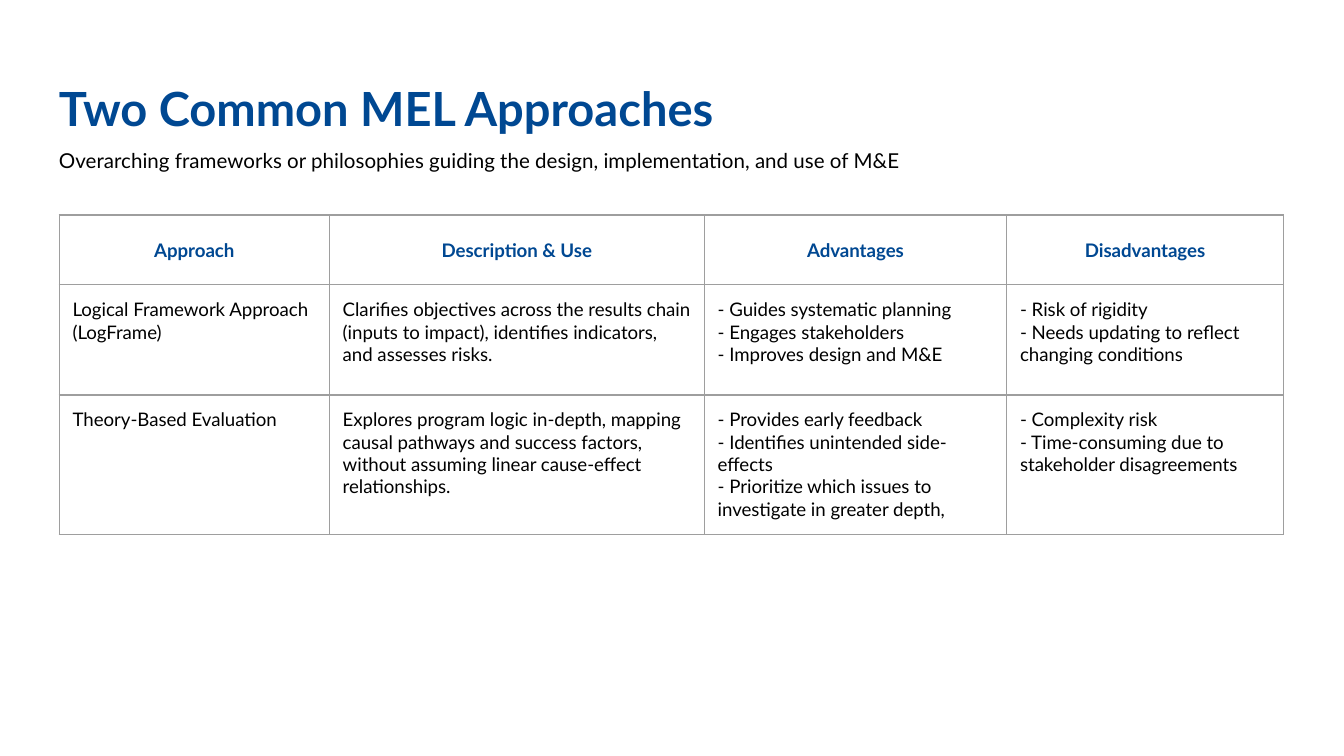
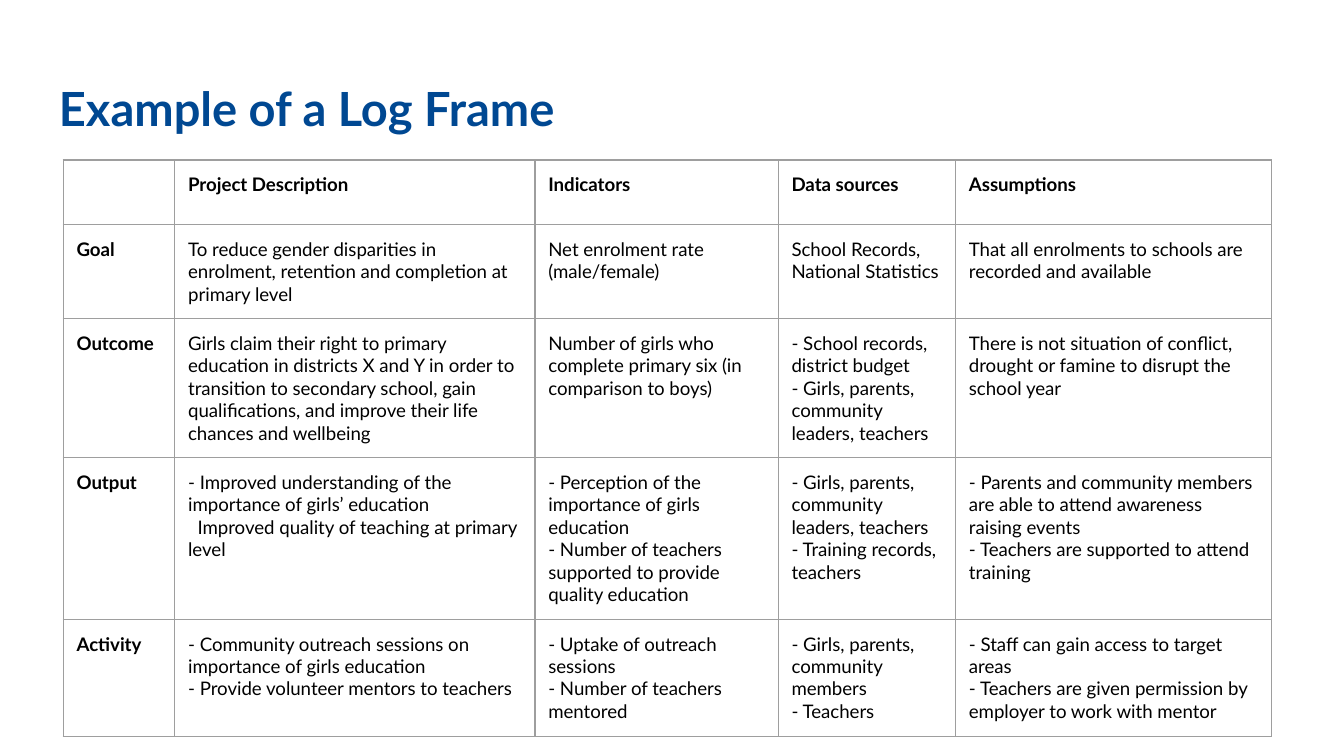
from lxml.etree import SubElement
from pptx import Presentation
from pptx.dml.color import RGBColor
from pptx.enum.text import MSO_ANCHOR as ANCHOR, PP_ALIGN as ALIGN
from pptx.oxml.ns import qn
from pptx.util import Inches, Pt

FONT = "Lato"
BLUE, BLACK, GREY, WHITE = "004892", "000000", "9E9E9E", "FFFFFF"
INSET = Inches(0.1)
TITLE_BOX = (0.34, 0.49, 9.32, 0.63)

APPROACHES = [
    ["Approach", "Description & Use", "Advantages", "Disadvantages"],
    ["Logical Framework Approach (LogFrame)",
     "Clarifies objectives across the results chain (inputs to impact), "
     "identifies indicators, and assesses risks.",
     "- Guides systematic planning\n- Engages stakeholders\n- Improves design and M&E",
     "- Risk of rigidity\n- Needs updating to reflect changing conditions"],
    ["Theory-Based Evaluation",
     "Explores program logic in-depth, mapping causal pathways and success factors, "
     "without assuming linear cause-effect relationships.",
     "- Provides early feedback\n- Identifies unintended side-effects\n"
     "- Prioritize which issues to investigate in greater depth,",
     "- Complexity risk\n- Time-consuming due to stakeholder disagreements"],
]

LOG_FRAME = [
    ["", "Project Description", "Indicators", "Data sources", "Assumptions"],
    ["Goal",
     "To reduce gender disparities in enrolment, retention and completion at primary level",
     "Net enrolment rate (male/female)",
     "School Records, National Statistics",
     "That all enrolments to schools are recorded and available"],
    ["Outcome",
     "Girls claim their right to primary education in districts X and Y in order to "
     "transition to secondary school, gain qualifications, and improve their life "
     "chances and wellbeing",
     "Number of girls who complete primary six (in comparison to boys)",
     "- School records, district budget\n- Girls, parents, community leaders, teachers",
     "There is not situation of conflict, drought or famine to disrupt the school year"],
    ["Output",
     "- Improved understanding of the importance of girls’ education\n"
     "Improved quality of teaching at primary level",
     "- Perception of the importance of girls education\n"
     "- Number of teachers supported to provide quality education",
     "- Girls, parents, community leaders, teachers\n- Training records, teachers",
     "- Parents and community members are able to attend awareness raising events\n"
     "- Teachers are supported to attend training"],
    ["Activity",
     "- Community outreach sessions on importance of girls education\n"
     "- Provide volunteer mentors to teachers",
     "- Uptake of outreach sessions\n- Number of teachers mentored",
     "- Girls, parents, community members\n- Teachers",
     "- Staff can gain access to target areas\n"
     "- Teachers are given permission by employer to work with mentor"],
]


def rgb(color):
    return RGBColor.from_string(color)


def write(tf, text, size, color=BLACK, bold=False, align=ALIGN.LEFT):
    """Fill a text frame, one paragraph for each line of text."""
    tf.text = text
    tf.word_wrap = True
    for p in tf.paragraphs:
        p.alignment = align
        p.font.name, p.font.size, p.font.bold = FONT, Pt(size), bold
        p.font.color.rgb = rgb(color)


def set_insets(holder):
    holder.margin_left = holder.margin_right = INSET
    holder.margin_top = holder.margin_bottom = INSET


def add_text(slide, box, text, size, **style):
    tf = slide.shapes.add_textbox(*map(Inches, box)).text_frame
    set_insets(tf)
    write(tf, text, size, **style)


def add_borders(cell):
    tcPr = cell._tc.get_or_add_tcPr()
    for side in ("lnL", "lnR", "lnT", "lnB"):
        ln = SubElement(tcPr, qn(f"a:{side}"), w=str(Pt(0.75)))
        fill = SubElement(ln, qn("a:solidFill"))
        SubElement(fill, qn("a:srgbClr"), val=GREY)


def add_grid(slide, left, top, widths, heights, rows, header, bold_first=False):
    """Add a bordered table; header holds the text style of its first row."""
    box = map(Inches, (left, top, sum(widths), sum(heights)))
    table = slide.shapes.add_table(len(rows), len(widths), *box).table
    table.first_row = table.horz_banding = False
    for column, width in zip(table.columns, widths):
        column.width = Inches(width)
    for row, height in zip(table.rows, heights):
        row.height = Inches(height)
    for i, texts in enumerate(rows):
        for j, text in enumerate(texts):
            cell = table.cell(i, j)
            set_insets(cell)
            add_borders(cell)
            cell.fill.background()
            style = header if i == 0 else {"bold": bold_first and j == 0}
            write(cell.text_frame, text, 10, **style)
    return table


def add_titled_slide(prs, title):
    slide = prs.slides.add_slide(prs.slide_layouts[6])
    slide.background.fill.solid()
    slide.background.fill.fore_color.rgb = rgb(WHITE)
    add_text(slide, TITLE_BOX, title, 25.2, color=BLUE, bold=True)
    return slide


def add_approaches_slide(prs):
    slide = add_titled_slide(prs, "Two Common MEL Approaches")
    table = add_grid(slide, 0.44, 1.6, [2.01, 2.79, 2.25, 2.06], [0.52, 0.82, 1.03],
                     APPROACHES, {"color": BLUE, "bold": True, "align": ALIGN.CENTER})
    for cell in table.rows[0].cells:
        cell.vertical_anchor = ANCHOR.MIDDLE
    add_text(slide, (0.34, 1.01, 8.49, 0.39),
             "Overarching frameworks or philosophies guiding the design, "
             "implementation, and use of M&E", 11)


def add_log_frame_slide(prs):
    slide = add_titled_slide(prs, "Example of a Log Frame")
    table = add_grid(slide, 0.47, 1.19, [0.83, 2.68, 1.81, 1.32, 2.35],
                     [0.48, 0.7, 1.03, 1.2, 0.87], LOG_FRAME, {"bold": True},
                     bold_first=True)
    undashed = table.cell(3, 1).text_frame.paragraphs[1]
    undashed._p.get_or_add_pPr().set("indent", str(Inches(0.07)))


def main():
    prs = Presentation()
    prs.slide_width = Inches(10)
    prs.slide_height = prs.slide_width * 9 // 16
    add_approaches_slide(prs)
    add_log_frame_slide(prs)
    prs.save("out.pptx")


if __name__ == "__main__":
    main()
